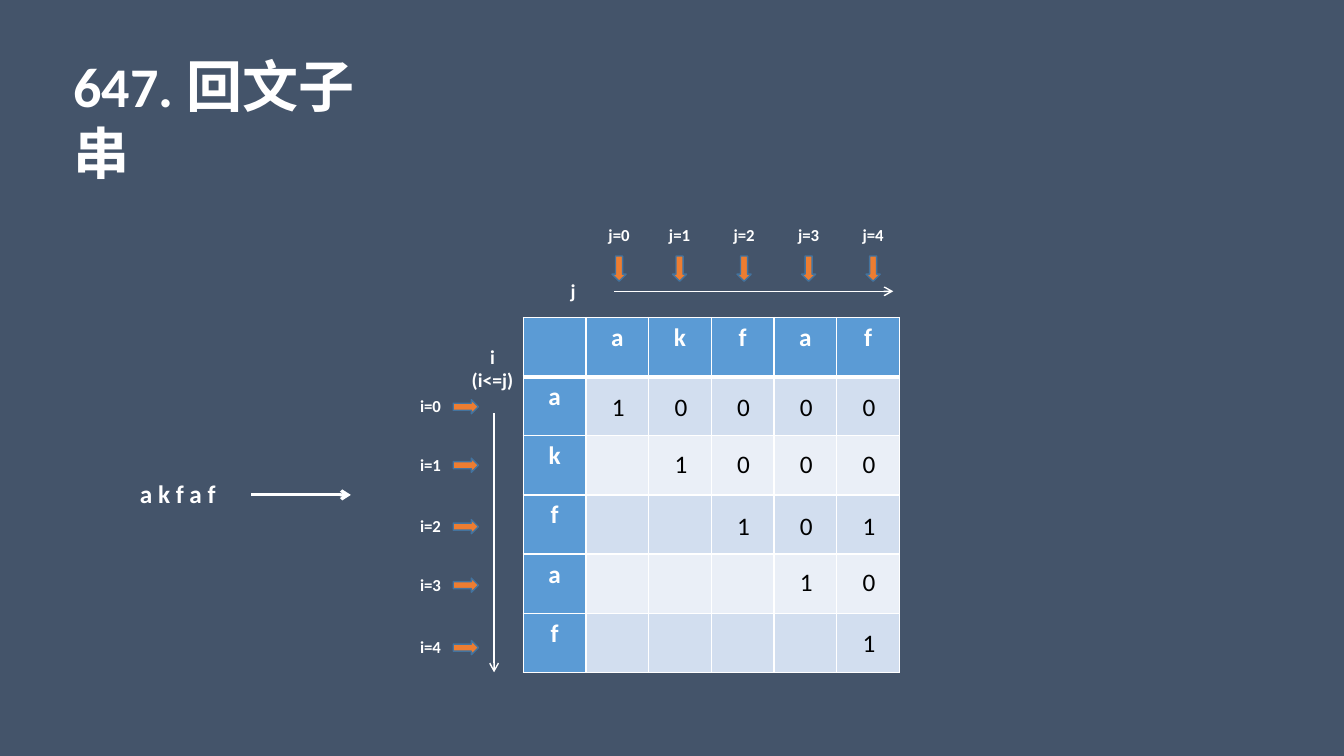
from lxml import etree
from pptx import Presentation
from pptx.dml.color import RGBColor
from pptx.enum.shapes import MSO_CONNECTOR, MSO_SHAPE
from pptx.enum.text import MSO_ANCHOR, MSO_AUTO_SIZE, PP_ALIGN
from pptx.oxml.ns import qn
from pptx.util import Inches, Pt

STRAIGHT = MSO_CONNECTOR.STRAIGHT
DOWN_ARROW = MSO_SHAPE.DOWN_ARROW
TOP = MSO_ANCHOR.TOP
NO_AUTOFIT = MSO_AUTO_SIZE.NONE
LEFT, CENTER = PP_ALIGN.LEFT, PP_ALIGN.CENTER

SLATE = RGBColor(0x44, 0x54, 0x6A)
WHITE = RGBColor(0xFF, 0xFF, 0xFF)
BLACK = RGBColor(0, 0, 0)
HEADER_BLUE = RGBColor(0x5B, 0x9B, 0xD5)
BAND_DARK = RGBColor(0xD2, 0xDE, 0xEF)
BAND_LIGHT = RGBColor(0xEA, 0xEF, 0xF7)
ORANGE = RGBColor(0xED, 0x7D, 0x31)
ARROW_EDGE = RGBColor(0x43, 0x73, 0x9E)

FONT = "Calibri"
WORD = "akfaf"
SIZE = len(WORD) + 1
GRID_LEFT, GRID_TOP, GRID_WIDTH, GRID_HEIGHT = 5.19, 3.15, 3.73, 3.52
COLUMN_WIDTH = GRID_WIDTH / SIZE

# Each row starts on the diagonal, where i equals j
PALINDROMES = ["10000", "1000", "101", "10", "1"]
VALUE_TOPS = [3.83, 4.4, 5.01, 5.57, 6.17]
J_LEFTS = [5.88, 6.48, 7.12, 7.76, 8.4]
I_TOPS = [3.88, 4.46, 5.07, 5.65, 6.27]


def write(frame, text, size=18, color=WHITE, bold=True, align=CENTER):
    frame.text = text
    for paragraph in frame.paragraphs:
        paragraph.alignment = align
        font = paragraph.font
        font.name, font.size, font.bold = FONT, Pt(size), bold
        font.color.rgb = color


def add_label(shapes, text, left, top, width, height, **text_format):
    label = shapes.add_textbox(Inches(left), Inches(top), Inches(width), Inches(height))
    label.text_frame.word_wrap = True
    write(label.text_frame, text, **text_format)


def add_arrow_line(shapes, start, end, weight=1):
    arrow = shapes.add_connector(STRAIGHT, *(Inches(v) for v in start + end))
    arrow.line.color.rgb = WHITE
    arrow.line.width = Pt(weight)
    etree.SubElement(arrow.line._get_or_add_ln(), qn("a:tailEnd"), type="arrow")
    etree.SubElement(arrow._element.spPr, qn("a:effectLst"))


def add_index_marker(slide, text, label_at, arrow_at, rotation=0):
    shapes = slide.shapes.add_group_shape().shapes
    pointer = shapes.add_shape(DOWN_ARROW, Inches(arrow_at[0]), Inches(arrow_at[1]),
                               Inches(0.14), Inches(0.25))
    pointer.rotation = rotation
    pointer.shadow.inherit = False
    pointer.fill.solid()
    pointer.fill.fore_color.rgb = ORANGE
    pointer.line.color.rgb = ARROW_EDGE
    pointer.line.width = Pt(1)
    add_label(shapes, text, *label_at, 0.52, 0.3, size=12)


def set_borders(cell, **weights):
    properties = cell._tc.get_or_add_tcPr()
    for side in "LRTB":
        border = etree.SubElement(properties, qn(f"a:ln{side}"),
                                  w=str(Pt(weights.get(side, 1))))
        fill = etree.SubElement(border, qn("a:solidFill"))
        etree.SubElement(fill, qn("a:srgbClr"), val=str(WHITE))


def add_title(slide):
    title = slide.shapes.title
    title.left, title.top = Inches(0.63), Inches(0.46)
    title.width, title.height = Inches(3.66), Inches(0.77)
    frame = title.text_frame
    frame.word_wrap = True
    frame.auto_size = NO_AUTOFIT
    frame.vertical_anchor = TOP
    frame.margin_right = Inches(0.4)
    write(frame, "647. 回文子串", size=40, align=LEFT)


def add_grid(slide):
    grid = slide.shapes.add_table(SIZE, SIZE, Inches(GRID_LEFT), Inches(GRID_TOP),
                                  Inches(GRID_WIDTH), Inches(GRID_HEIGHT)).table
    headings = " " + WORD
    for row in range(SIZE):
        for column in range(SIZE):
            cell = grid.cell(row, column)
            set_borders(cell, T=3 if row == 1 else 1, B=3 if row == 0 else 1)
            is_heading = row == 0 or column == 0
            band = BAND_DARK if row % 2 else BAND_LIGHT
            cell.fill.solid()
            cell.fill.fore_color.rgb = HEADER_BLUE if is_heading else band
            if is_heading and row != column:
                write(cell.text_frame, headings[row + column])


def add_values(slide):
    for i, (values, top) in enumerate(zip(PALINDROMES, VALUE_TOPS)):
        for j, value in enumerate(values, start=i):
            add_label(slide.shapes, value, 5.97 + j * COLUMN_WIDTH, top, 0.34, 0.4,
                      color=BLACK, bold=False, align=LEFT)


def main():
    deck = Presentation()
    deck.slide_width, deck.slide_height = Inches(13.33), Inches(7.5)
    slide = deck.slides.add_slide(deck.slide_layouts[5])
    slide.background.fill.solid()
    slide.background.fill.fore_color.rgb = SLATE
    add_title(slide)
    add_grid(slide)

    # Index markers above the columns and beside the rows
    for index, (left, top) in enumerate(zip(J_LEFTS, I_TOPS)):
        add_index_marker(slide, f"j={index}", (left, 2.18), (left + 0.19, 2.54))
        add_index_marker(slide, f"i={index}", (4.01, top), (4.55, top + 0.03), rotation=270)

    add_values(slide)

    # Axes and the input word
    axes = slide.shapes.add_group_shape().shapes
    add_arrow_line(axes, (6.09, 2.89), (8.86, 2.89))
    add_arrow_line(axes, (4.9, 4.1), (4.9, 6.67))
    add_label(axes, "j", 5.4, 2.72, 0.57, 0.34, size=14)
    add_label(axes, "i\n(i<=j)", 4.42, 3.37, 0.93, 0.57, size=14)
    add_label(axes, " ".join(WORD), 1.29, 4.7, 1.2, 0.4, align=LEFT)
    add_arrow_line(axes, (2.49, 4.91), (3.48, 4.91), weight=2.25)

    deck.save("out.pptx")


if __name__ == "__main__":
    main()
